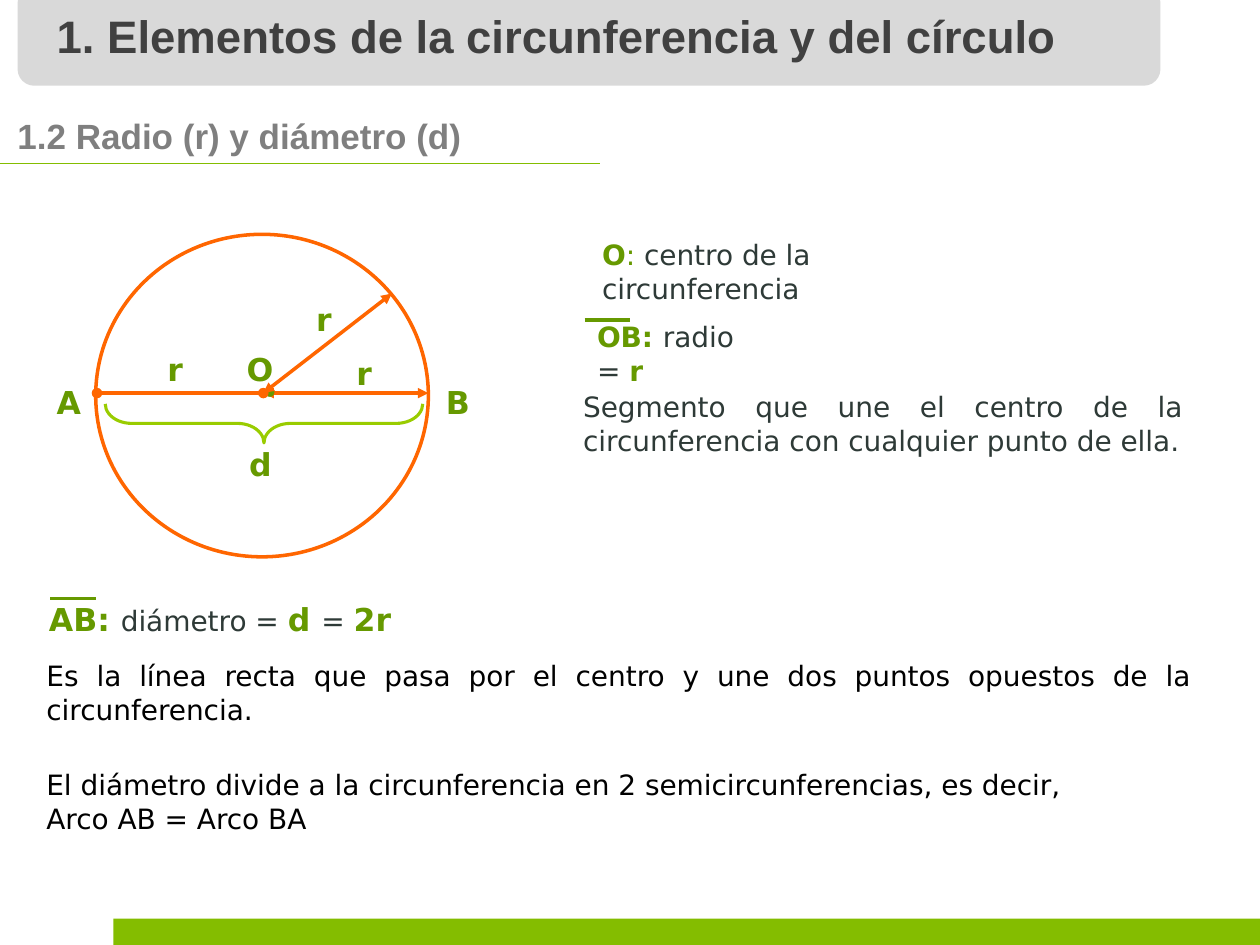
from lxml import etree
from pptx import Presentation
from pptx.dml.color import RGBColor
from pptx.enum.shapes import MSO_CONNECTOR, MSO_SHAPE
from pptx.enum.text import MSO_ANCHOR, PP_ALIGN
from pptx.oxml.ns import qn
from pptx.util import Inches, Pt

STRAIGHT = MSO_CONNECTOR.STRAIGHT
RECTANGLE, ROUNDED = MSO_SHAPE.RECTANGLE, MSO_SHAPE.ROUNDED_RECTANGLE
OVAL, BRACE = MSO_SHAPE.OVAL, MSO_SHAPE.LEFT_BRACE
TOP, MIDDLE = MSO_ANCHOR.TOP, MSO_ANCHOR.MIDDLE
LEFT, JUSTIFY = PP_ALIGN.LEFT, PP_ALIGN.JUSTIFY

HEADING_FONT, BODY_FONT = "Arial", "DejaVu Sans"
GREEN, BAR_GREEN, BRACE_GREEN = "669900", "84BD00", "99CC00"
ORANGE, SLATE, BLACK = "FF6600", "2E3A37", "000000"
PANEL_GRAY, TITLE_GRAY, SUBTITLE_GRAY = "D9D9D9", "404040", "7F7F7F"


def color(value):
    return RGBColor.from_string(value)


def set_font(font, size, value, bold=False, name=BODY_FONT):
    font.name, font.size, font.bold = name, Pt(size), bold
    font.color.rgb = color(value)


def add_figure(slide, kind, box, fill=None, line=None, width=1):
    shape = slide.shapes.add_shape(kind, *map(Inches, box))
    shape.shadow.inherit = False
    if fill:
        shape.fill.solid()
        shape.fill.fore_color.rgb = color(fill)
    else:
        shape.fill.background()
    if line:
        shape.line.color.rgb = color(line)
        shape.line.width = Pt(width)
    else:
        shape.line.fill.background()
    return shape


def add_line(slide, start, end, value, width, ends=None):
    line = slide.shapes.add_connector(STRAIGHT, *map(Inches, start + end))
    line.line.color.rgb = color(value)
    line.line.width = Pt(width)
    if ends:
        outline = line.line._get_or_add_ln()
        for tag in ("a:headEnd", "a:tailEnd"):
            etree.SubElement(outline, qn(tag), type=ends)
    etree.SubElement(line._element.spPr, qn("a:effectLst"))


def add_text(slide, box, lines, size, value, bold=False, name=BODY_FONT,
             align=LEFT, anchor=TOP, wrap=True):
    """Each line is a string in one style."""
    frame = slide.shapes.add_textbox(*map(Inches, box)).text_frame
    frame.word_wrap, frame.vertical_anchor = wrap, anchor
    for index, text in enumerate(lines):
        paragraph = frame.paragraphs[0] if index == 0 else frame.add_paragraph()
        paragraph.text, paragraph.alignment = text, align
        set_font(paragraph.font, size, value, bold, name)


def add_definition(slide, box, parts, anchor=TOP):
    """Each part is (text, size, colour, bold), all on one paragraph."""
    frame = slide.shapes.add_textbox(*map(Inches, box)).text_frame
    frame.word_wrap, frame.vertical_anchor = True, anchor
    for text, size, value, bold in parts:
        run = frame.paragraphs[0].add_run()
        run.text = text
        set_font(run.font, size, value, bold)


def build_title(slide, box):
    left, top, width, height = box
    panel = add_figure(slide, ROUNDED, box, PANEL_GRAY)
    title = slide.shapes.title
    title._element.addprevious(panel._element)
    title.left, title.top = Inches(left + 0.21), Inches(top + 0.12)
    title.width, title.height = Inches(width - 0.93), Inches(height - 0.25)
    frame = title.text_frame
    frame.text = "1. Elementos de la circunferencia y del círculo"
    frame.word_wrap, frame.vertical_anchor = False, TOP
    frame.paragraphs[0].alignment = LEFT
    set_font(frame.paragraphs[0].font, 26, TITLE_GRAY, True, HEADING_FONT)


def build_subtitle(slide, box):
    left, top, width, height = box
    add_text(slide, box, ["1.2 Radio (r) y diámetro (d)"], 20, SUBTITLE_GRAY,
             True, HEADING_FONT)
    add_line(slide, (0, top + height), (4.76, top + height), BAR_GREEN, 0.75)


def build_circle(slide, box):
    left, top, width, height = box
    center = (left + 1.33, top + 1.26)
    add_figure(slide, OVAL, box, line=ORANGE, width=2)

    # Brace under the diameter, turned to point down
    brace = add_figure(slide, BRACE, (left + 1.18, top + 0.24, 0.31, 2.52),
                       line=BRACE_GREEN, width=1.75)
    brace.adjustments[0] = 0.68
    brace.rotation = 270

    # Point and length labels: text, offset from the box, width
    labels = [("A", -0.41, 1.13, 0.88), ("B", 2.68, 1.13, 0.88),
              ("r", 1.97, 0.9, 0.31), ("r", 1.65, 0.47, 0.31),
              ("r", 0.47, 0.87, 0.31), ("d", 1.12, 1.62, 0.36),
              ("O", 1.1, 0.87, 0.4)]
    for text, across, down, label_width in labels:
        add_text(slide, (left + across, top + down, label_width, 0.4), [text],
                 18, GREEN, True, wrap=label_width > 0.5)

    # Radii from the center
    add_line(slide, center, (left + width, center[1]), ORANGE, 2, "triangle")
    add_text(slide, (left + 1.21, top + 1.05, 0.29, 0.4), ["•"], 18, GREEN,
             wrap=False)
    add_line(slide, center, (left + 2.35, top + 0.47), ORANGE, 2, "triangle")
    add_line(slide, (left + 0.01, center[1]), center, ORANGE, 2, "oval")


def build_radius_notes(slide, box):
    left, top, width, height = box
    add_definition(slide, (left + 0.15, top, 3.26, 0.37),
                   [("O", 16, GREEN, True), (": ", 16, GREEN, False),
                    ("centro de la circunferencia", 16, SLATE, False)], MIDDLE)
    add_definition(slide, (left + 0.11, top + 0.52, 1.53, 0.37),
                   [("OB: ", 16, GREEN, True), ("radio = ", 16, SLATE, False),
                    ("r", 16, GREEN, True)])
    add_line(slide, (left + 0.11, top + 0.57), (left + 0.47, top + 0.57),
             GREEN, 2.25)
    add_text(slide, (left, top + 1.07, width, height - 1.07),
             ["Segmento que une el centro de la circunferencia con cualquier "
              "punto de ella."], 16, SLATE, align=JUSTIFY, anchor=MIDDLE)


def build_diameter_notes(slide, box):
    left, top, width, height = box
    add_definition(slide, (left + 0.02, top + 0.02, 3.2, 0.45),
                   [("AB: ", 18, GREEN, True), ("diámetro = ", 16, SLATE, False),
                    ("d ", 18, GREEN, True), ("= ", 16, SLATE, False),
                    ("2r", 18, GREEN, True)])
    add_line(slide, (left + 0.13, top + 0.06), (left + 0.49, top + 0.06),
             GREEN, 2.25)
    add_text(slide, (left, top + 0.49, width, 0.64),
             ["Es la línea recta que pasa por el centro y une dos puntos "
              "opuestos de la circunferencia."], 16, BLACK, align=JUSTIFY)
    add_text(slide, (left, top + height - 0.64, width - 0.55, 0.64),
             ["El diámetro divide a la circunferencia en 2 semicircunferencias, "
              "es decir,", "Arco AB = Arco BA"], 16, BLACK, align=JUSTIFY,
             anchor=MIDDLE)


def main():
    presentation = Presentation()
    presentation.slide_width, presentation.slide_height = Inches(10), Inches(7.5)
    slide = presentation.slides.add_slide(presentation.slide_layouts[5])
    add_figure(slide, RECTANGLE, (0.9, 7.29, 9.1, 0.21), BAR_GREEN)
    build_title(slide, (0.14, -0.11, 9.07, 0.79))
    build_subtitle(slide, (0.04, 0.86, 8.98, 0.44))
    build_circle(slide, (0.76, 1.86, 2.64, 2.56))
    build_radius_notes(slide, (4.53, 1.97, 4.96, 1.71))
    build_diameter_notes(slide, (0.27, 4.69, 9.29, 1.99))
    presentation.save("out.pptx")


if __name__ == "__main__":
    main()
